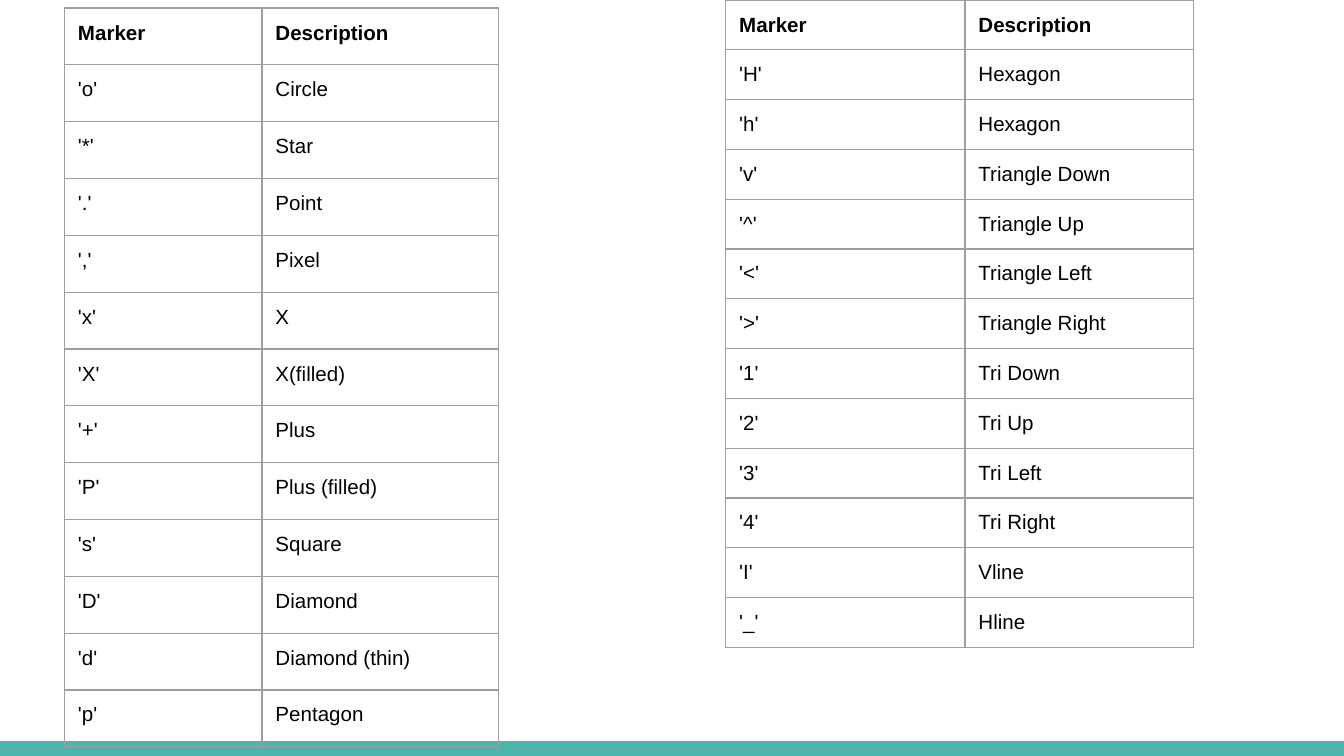
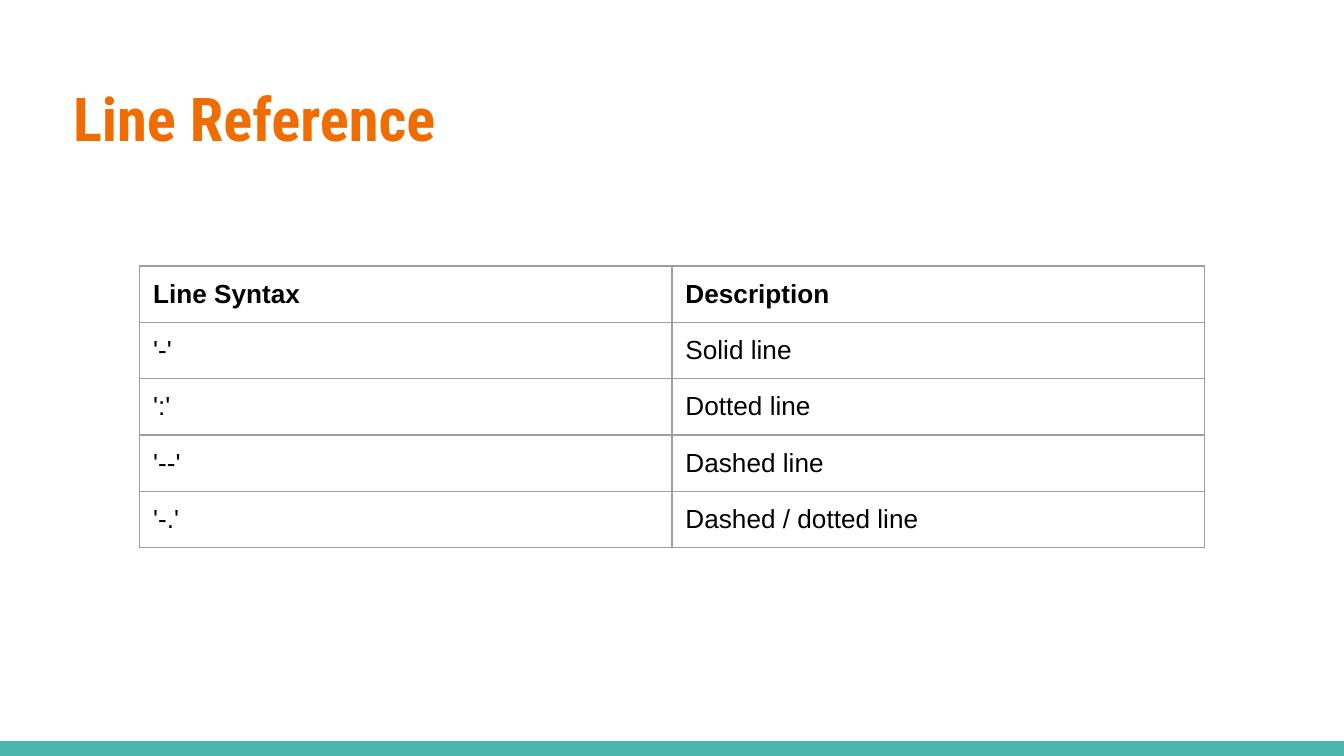
from lxml.etree import SubElement
from pptx import Presentation
from pptx.dml.color import RGBColor
from pptx.enum.shapes import MSO_SHAPE as Preset
from pptx.enum.text import MSO_ANCHOR as Anchor, MSO_AUTO_SIZE as AutoSize, PP_ALIGN as Align
from pptx.oxml.ns import qn
from pptx.util import Inches, Pt

TEAL = RGBColor(0x4D, 0xB6, 0xAC)
ORANGE = RGBColor(0xEF, 0x6C, 0x00)
GREY = RGBColor(0x9E, 0x9E, 0x9E)
BLACK = RGBColor(0x00, 0x00, 0x00)

# The grid: 100 columns by 56.25 rows of square cells
COLUMNS, ROWS = 100, 56.25
UNIT = Inches(0.1)
TITLE_ONLY, BLANK = 5, 6

INSETS = {f"margin_{side}": UNIT for side in ("left", "top", "right", "bottom")}
TITLE_FONT = {"name": "Roboto Condensed", "size": Pt(32.4), "bold": True}
TABLE_FONT = {"name": "Arial"}


def grid(*lengths):
    return [round(length * UNIT) for length in lengths]


def apply(target, formats):
    for attribute, value in formats.items():
        setattr(target, attribute, value)


class Deck:
    """Holds the shared style and the current slide."""

    def __init__(self):
        self.show = Presentation()
        self.show.slide_width, self.show.slide_height = grid(COLUMNS, ROWS)
        self.slide = None

    def new_slide(self, layout):
        self.slide = self.show.slides.add_slide(self.show.slide_layouts[layout])
        self.band()

    def band(self, height=1.1):
        band = self.slide.shapes.add_shape(
            Preset.RECTANGLE, *grid(0, ROWS - height, COLUMNS, height))
        band.shadow.inherit = False
        band.fill.solid()
        band.fill.fore_color.rgb = TEAL
        band.line.fill.background()

    def title(self, wording, left, top, width, height):
        title = self.slide.shapes.title
        apply(title, dict(zip(("left", "top", "width", "height"),
                              grid(left, top, width, height))))
        frame = title.text_frame
        frame.text = wording
        apply(frame, {**INSETS, "auto_size": AutoSize.NONE,
                      "word_wrap": True, "vertical_anchor": Anchor.MIDDLE})
        frame.paragraphs[0].alignment = Align.LEFT
        self.font(frame.paragraphs[0].runs[0], TITLE_FONT, ORANGE)

    def table(self, entries, left, top, widths, row_height, size):
        table = self.slide.shapes.add_table(
            len(entries), len(widths),
            *grid(left, top, sum(widths), row_height * len(entries))).table
        apply(table, {"first_row": False, "horz_banding": False})
        for column, width in zip(table.columns, grid(*widths)):
            column.width = width
        for row, entry in zip(table.rows, entries):
            row.height = grid(row_height)[0]
            for cell, wording in zip(row.cells, entry):
                self.cell(cell, wording, size, bold=entry is entries[0])

    def cell(self, cell, wording, size, bold):
        cell.text = wording
        apply(cell, {**INSETS, "vertical_anchor": Anchor.TOP})
        self.font(cell.text_frame.paragraphs[0].runs[0],
                  {**TABLE_FONT, "size": Pt(size), "bold": bold}, BLACK)
        properties = cell._tc.get_or_add_tcPr()
        for edge in ("a:lnL", "a:lnR", "a:lnT", "a:lnB"):
            border = SubElement(properties, qn(edge), w=str(Pt(0.75)))
            paint = SubElement(border, qn("a:solidFill"))
            SubElement(paint, qn("a:srgbClr"), val=str(GREY))
        cell.fill.background()

    def font(self, run, formats, colour):
        apply(run.font, formats)
        run.font.color.rgb = colour


COMMON_MARKERS = [
    ("Marker", "Description"),
    ("'o'", "Circle"),
    ("'*'", "Star"),
    ("'.'", "Point"),
    ("','", "Pixel"),
    ("'x'", "X"),
    ("'X'", "X(filled)"),
    ("'+'", "Plus"),
    ("'P'", "Plus (filled)"),
    ("'s'", "Square"),
    ("'D'", "Diamond"),
    ("'d'", "Diamond (thin)"),
    ("'p'", "Pentagon"),
]
MORE_MARKERS = [
    ("Marker", "Description"),
    ("'H'", "Hexagon"),
    ("'h'", "Hexagon"),
    ("'v'", "Triangle Down"),
    ("'^'", "Triangle Up"),
    ("'<'", "Triangle Left"),
    ("'>'", "Triangle Right"),
    ("'1'", "Tri Down"),
    ("'2'", "Tri Up"),
    ("'3'", "Tri Left"),
    ("'4'", "Tri Right"),
    ("'I'", "Vline"),
    ("'_'", "Hline"),
]
LINE_STYLES = [
    ("Line Syntax", "Description"),
    ("'-'", "Solid line"),
    ("':'", "Dotted line"),
    ("'--'", "Dashed line"),
    ("'-.'", "Dashed / dotted line"),
]


def main():
    deck = Deck()

    # Marker reference
    deck.new_slide(BLANK)
    deck.table(COMMON_MARKERS, 4.8, 0.6, (14.7, 17.6), row_height=4.23, size=11)
    deck.table(MORE_MARKERS, 54, 0, (17.8, 17), row_height=3.7, size=11)

    # Line reference
    deck.new_slide(TITLE_ONLY)
    deck.title(" Line Reference", 3.4, 4.9, 93.2, 7.7)
    deck.table(LINE_STYLES, 10.4, 19.8, (39.6, 39.6), row_height=4.17, size=14)

    deck.show.save("out.pptx")


if __name__ == "__main__":
    main()
